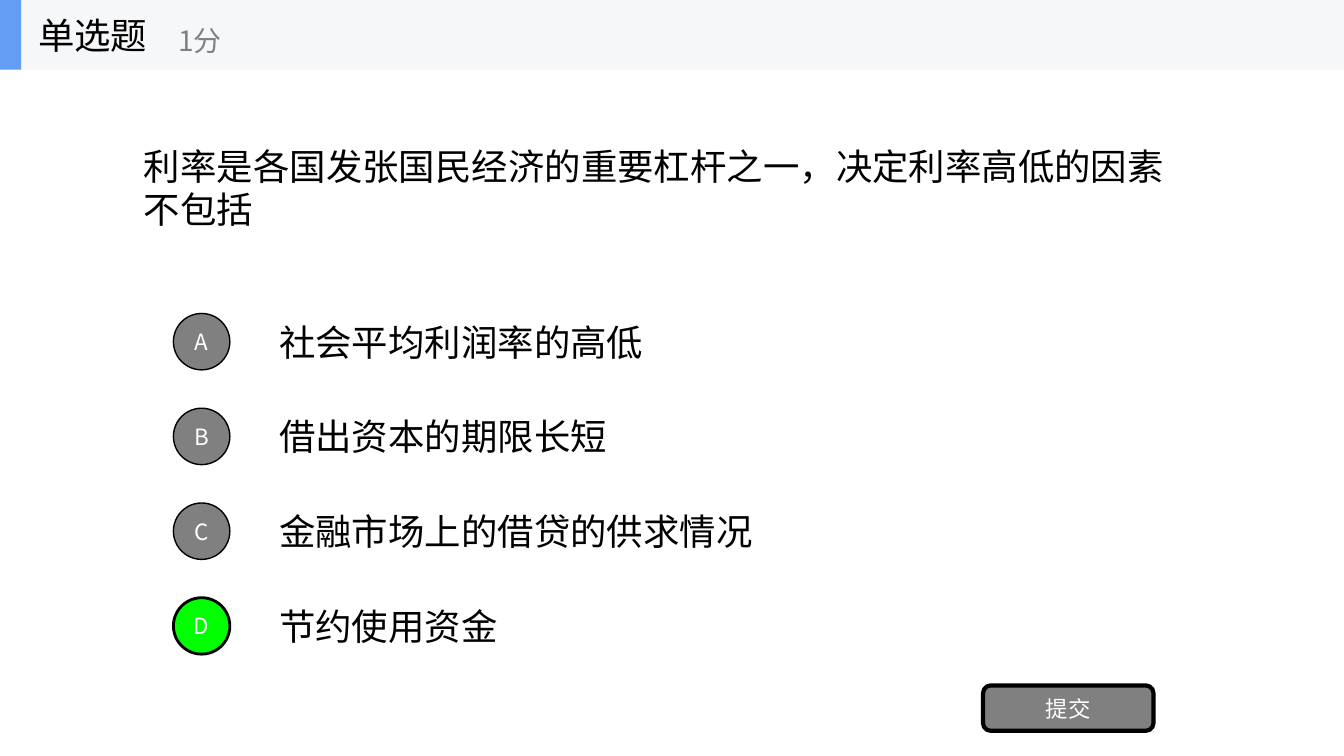
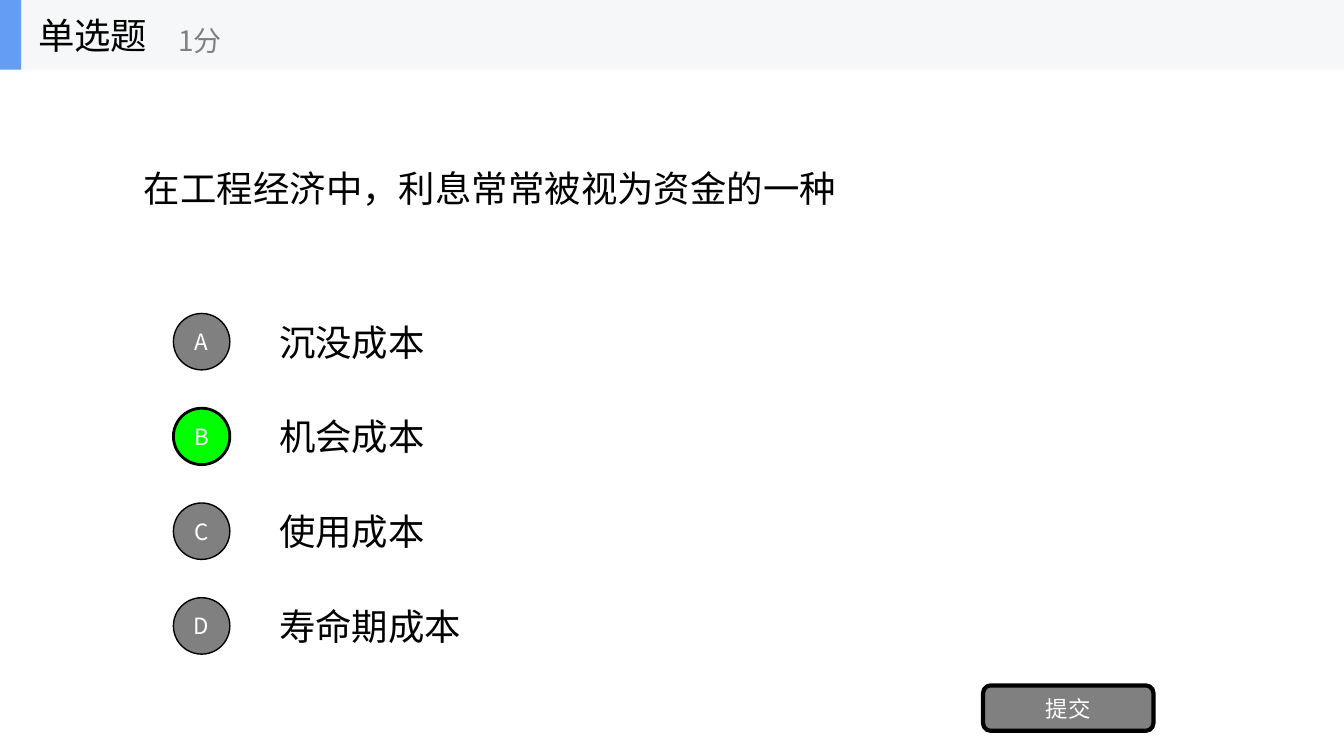
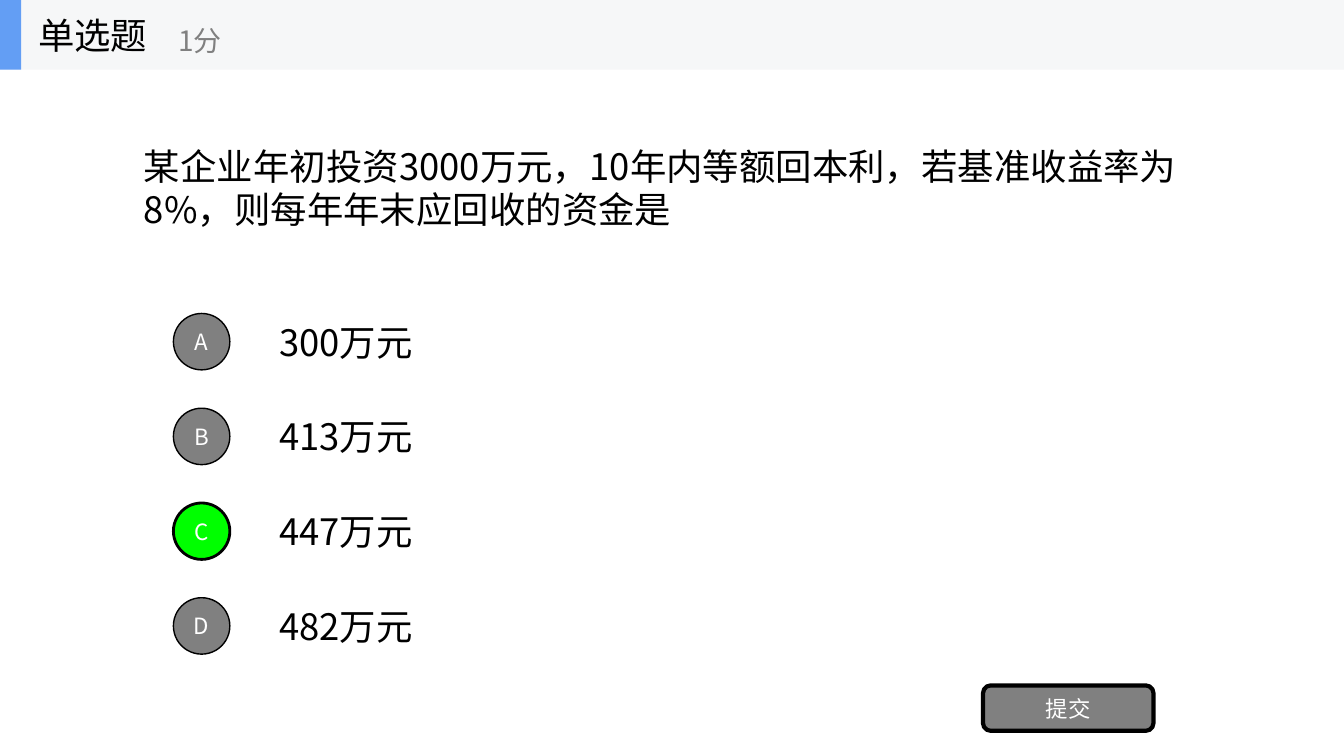
from lxml import etree
from pptx import Presentation
from pptx.dml.color import RGBColor
from pptx.enum.shapes import MSO_SHAPE
from pptx.enum.text import MSO_ANCHOR, PP_ALIGN
from pptx.oxml.ns import qn
from pptx.util import Inches, Pt

QUESTIONS = [
    {
        "stem": "利率是各国发张国民经济的重要杠杆之一，决定利率高低的因素不包括",
        "options": ["社会平均利润率的高低", "借出资本的期限长短",
                    "金融市场上的借贷的供求情况", "节约使用资金"],
        "answer": "D",
    },
    {
        "stem": "在工程经济中，利息常常被视为资金的一种",
        "options": ["沉没成本", "机会成本", "使用成本", "寿命期成本"],
        "answer": "B",
    },
    {
        "stem": "某企业年初投资3000万元，10年内等额回本利，若基准收益率为8%，"
                "则每年年末应回收的资金是",
        "options": ["300万元", "413万元", "447万元", "482万元"],
        "answer": "C",
    },
]
QUESTION_TYPE = "单选题"
SCORE = "1分"
SUBMIT = "提交"
LETTERS = "ABCD"

FONT = "Noto Sans CJK SC"
BLACK, WHITE, GREY = "000000", "FFFFFF", "808080"
BAND, ACCENT, CORRECT = "F6F7F8", "639EF4", "00FF00"
BODY_SIZE, SCORE_SIZE, BUTTON_SIZE = 26, 20, 16

SLIDE_W, SLIDE_H = 13.33, 7.5
BAND_H = 0.69
OPTION_TOP, OPTION_PITCH, OPTION_H = 3.04, 0.94, 0.7
CIRCLE = 0.56

RECT, OVAL, ROUNDED = MSO_SHAPE.RECTANGLE, MSO_SHAPE.OVAL, MSO_SHAPE.ROUNDED_RECTANGLE
MIDDLE = MSO_ANCHOR.MIDDLE
LEFT, CENTER = PP_ALIGN.LEFT, PP_ALIGN.CENTER


def color(value):
    return RGBColor.from_string(value)


def write(frame, text, size, text_color, align=LEFT):
    frame.word_wrap = True
    frame.vertical_anchor = MIDDLE
    paragraph = frame.paragraphs[0]
    paragraph.alignment = align
    run = paragraph.add_run()
    run.text = text
    run.font.size = Pt(size)
    run.font.name = FONT
    run.font.color.rgb = color(text_color)
    east_asian = etree.SubElement(run.font._element, qn("a:ea"))
    east_asian.set("typeface", FONT)


def add_text(shapes, box, text, size=BODY_SIZE, text_color=BLACK):
    label = shapes.add_textbox(*map(Inches, box))
    write(label.text_frame, text, size, text_color)


def add_block(shapes, kind, box, fill, line_width=0):
    block = shapes.add_shape(kind, *map(Inches, box))
    block.shadow.inherit = False
    block.fill.solid()
    block.fill.fore_color.rgb = color(fill)
    if line_width:
        block.line.color.rgb = color(BLACK)
        block.line.width = Pt(line_width)
    else:
        block.line.fill.background()
    return block


def add_button(shapes, kind, box, text, fill, line_width):
    frame = add_block(shapes, kind, box, fill, line_width).text_frame
    frame.margin_left = frame.margin_right = 0
    frame.margin_top = frame.margin_bottom = 0
    write(frame, text, BUTTON_SIZE, WHITE, CENTER)


def add_header(slide):
    header = slide.shapes.add_group_shape().shapes
    add_block(header, RECT, (0, 0, SLIDE_W, BAND_H), BAND)
    add_block(header, RECT, (0, 0, 0.21, BAND_H), ACCENT)
    add_text(header, (0.28, 0, 2.08, BAND_H), QUESTION_TYPE)
    add_text(header, (1.67, 0.12, 2.5, 0.56), SCORE, SCORE_SIZE, GREY)


def add_question(slide, question):
    shapes = slide.shapes
    add_text(shapes, (1.33, BAND_H, 10.67, 2.34), question["stem"])
    for row, (letter, option) in enumerate(zip(LETTERS, question["options"])):
        top = OPTION_TOP + row * OPTION_PITCH
        add_text(shapes, (2.67, top, 9.33, OPTION_H), option)
        fill, line_width = (CORRECT, 2) if letter == question["answer"] else (GREY, 1)
        circle_top = top + (OPTION_H - CIRCLE) / 2
        add_button(shapes, OVAL, (1.72, circle_top, CIRCLE, CIRCLE),
                   letter, fill, line_width)
    add_button(shapes, ROUNDED, (9.75, 6.8, 1.69, 0.45), SUBMIT, GREY, 3)


def main():
    deck = Presentation()
    deck.slide_width, deck.slide_height = Inches(SLIDE_W), Inches(SLIDE_H)
    blank = deck.slide_layouts[6]
    for question in QUESTIONS:
        slide = deck.slides.add_slide(blank)
        add_question(slide, question)
        add_header(slide)
    deck.save("out.pptx")


if __name__ == "__main__":
    main()
